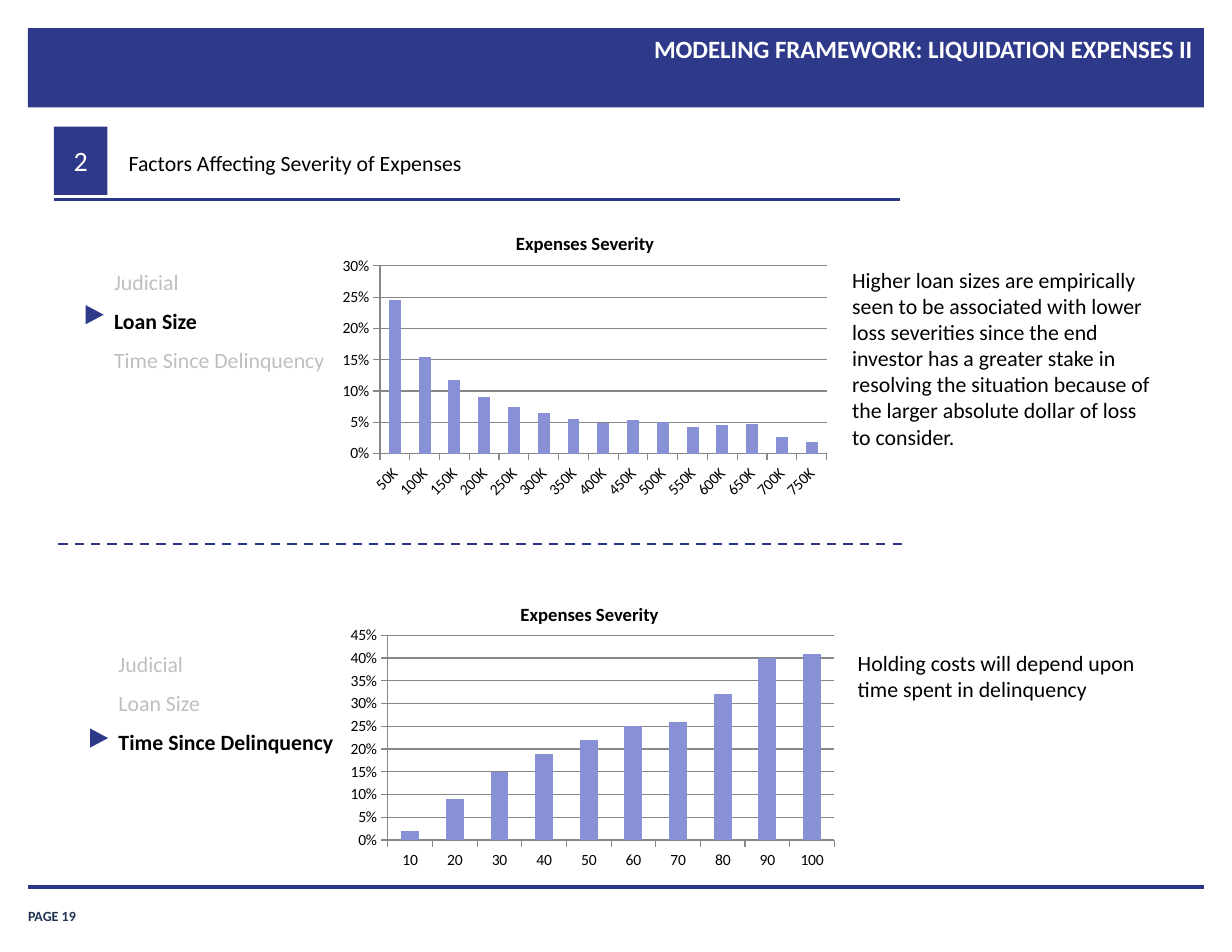
from dataclasses import dataclass

from lxml import etree
from pptx import Presentation
from pptx.chart.data import CategoryChartData
from pptx.dml.color import RGBColor
from pptx.enum.chart import XL_CHART_TYPE, XL_TICK_MARK
from pptx.enum.dml import MSO_LINE
from pptx.enum.shapes import MSO_CONNECTOR, MSO_SHAPE
from pptx.enum.text import MSO_ANCHOR, PP_ALIGN
from pptx.oxml.ns import qn
from pptx.util import Inches, Pt

COLUMNS = XL_CHART_TYPE.COLUMN_CLUSTERED
TICK_OUT = XL_TICK_MARK.OUTSIDE
DASH = MSO_LINE.DASH
STRAIGHT = MSO_CONNECTOR.STRAIGHT
RECTANGLE, TRIANGLE = MSO_SHAPE.RECTANGLE, MSO_SHAPE.ISOSCELES_TRIANGLE
TOP, MIDDLE, BOTTOM = MSO_ANCHOR.TOP, MSO_ANCHOR.MIDDLE, MSO_ANCHOR.BOTTOM
LEFT, CENTER, RIGHT = PP_ALIGN.LEFT, PP_ALIGN.CENTER, PP_ALIGN.RIGHT


@dataclass(frozen=True)
class Theme:
    font: str = "Calibri"
    navy: RGBColor = RGBColor(0x2E, 0x39, 0x8A)
    rule: RGBColor = RGBColor(0x2B, 0x36, 0x89)
    footer: RGBColor = RGBColor(0x20, 0x33, 0x53)
    bar: RGBColor = RGBColor(0x88, 0x91, 0xD5)
    grid: RGBColor = RGBColor(0x87, 0x87, 0x87)
    muted: RGBColor = RGBColor(0xBF, 0xBF, 0xBF)
    black: RGBColor = RGBColor(0, 0, 0)
    white: RGBColor = RGBColor(255, 255, 255)
    footer_size: int = 9
    axis_size: int = 10
    caption_size: int = 12
    body_size: int = 14
    title_size: int = 16
    number_size: int = 18


theme = Theme()
prs = Presentation()
prs.slide_width, prs.slide_height = Inches(11), Inches(8.5)
slide = prs.slides.add_slide(prs.slide_layouts[6])
shapes = slide.shapes


def write(box, lines, size, align=LEFT, anchor=TOP, spacing=None, inset=(0.1, 0.05)):
    """Fill a box with one paragraph for each (text, colour, bold) line."""
    frame = box.text_frame
    frame.word_wrap = True
    frame.vertical_anchor = anchor
    frame.margin_left = frame.margin_right = Inches(inset[0])
    frame.margin_top = frame.margin_bottom = Inches(inset[1])
    for index, (text, color, bold) in enumerate(lines):
        paragraph = frame.add_paragraph() if index else frame.paragraphs[0]
        paragraph.alignment = align
        paragraph.line_spacing = spacing
        run = paragraph.add_run()
        run.text = text
        run.font.name, run.font.size, run.font.bold = theme.font, Pt(size), bold
        run.font.color.rgb = color


def add_navy(kind, left, top, width, height):
    shape = shapes.add_shape(kind, Inches(left), Inches(top), Inches(width), Inches(height))
    shape.shadow.inherit = False
    shape.fill.solid()
    shape.fill.fore_color.rgb = theme.navy
    shape.line.fill.background()
    return shape


# Header, section heading and footer
add_navy(RECTANGLE, 0.25, 0.25, 10.5, 0.71)
title = shapes.add_textbox(Inches(3.32), Inches(0.24), Inches(7.44), Inches(0.74))
write(title, [("MODELING FRAMEWORK: LIQUIDATION EXPENSES II", theme.white, True)],
      theme.title_size, align=RIGHT, inset=(0.11, 0.06))
section_number = add_navy(RECTANGLE, 0.48, 1.13, 0.48, 0.61)
write(section_number, [("2", theme.white, False)], theme.number_size, CENTER, MIDDLE)
heading = shapes.add_textbox(Inches(1.05), Inches(1.29), Inches(4.45), Inches(0.34))
write(heading, [("Factors Affecting Severity of Expenses", theme.black, False)], theme.body_size)
page = shapes.add_textbox(Inches(0.25), Inches(8.02), Inches(0.91), Inches(0.23))
write(page, [("PAGE 19", theme.footer, True)], theme.footer_size, anchor=BOTTOM, inset=(0, 0))

for start, end, y, weight, dash in (
    (0.48, 8.04, 1.78, 1.5, None),
    (0.52, 8.09, 4.86, 1.5, DASH),
    (0.25, 10.75, 7.92, 2, None),
):
    rule = shapes.add_connector(STRAIGHT, Inches(start), Inches(y), Inches(end), Inches(y))
    rule.line.color.rgb = theme.rule
    rule.line.width = Pt(weight)
    rule.line.dash_style = dash
    etree.SubElement(rule.element.spPr, qn("a:effectLst"))

# One panel for each factor: list, marker, chart, caption and comment
factors = ("Judicial", "Loan Size", "Time Since Delinquency")
panels = (
    {
        "active": "Loan Size", "list": (0.92, 2.23), "marker": (0.76, 2.73),
        "chart": (2.97, 2.25), "caption": (3.96, 2.02), "comment": (7.51, 2.33, 1.75),
        "text": "Higher loan sizes are empirically seen to be associated with lower loss "
                "severities since the end investor has a greater stake in resolving the "
                "situation because of the larger absolute dollar of loss to consider.",
        "categories": [f"{size}K" for size in range(50, 751, 50)],
        "values": (0.245, 0.154, 0.117, 0.091, 0.075, 0.065, 0.056, 0.049,
                   0.054, 0.051, 0.043, 0.046, 0.048, 0.026, 0.018),
        "maximum": 0.3, "label_angle": -45,
    },
    {
        "active": "Time Since Delinquency", "list": (0.96, 5.64), "marker": (0.8, 6.51),
        "chart": (3.04, 5.55), "caption": (4, 5.33), "comment": (7.56, 5.75, 0.57),
        "text": "Holding costs will depend upon time spent in delinquency",
        "categories": [str(days) for days in range(10, 101, 10)],
        "values": (0.02, 0.09, 0.15, 0.19, 0.22, 0.25, 0.26, 0.32, 0.4, 0.41),
        "maximum": 0.45, "label_angle": 0,
    },
)

for panel in panels:
    left, top = map(Inches, panel["list"])
    factor_list = shapes.add_textbox(left, top, Inches(2.56), Inches(1.16))
    lines = [(name, theme.black, True) if name == panel["active"] else (name, theme.muted, False)
             for name in factors]
    write(factor_list, lines, theme.body_size, spacing=1.5)
    marker = add_navy(TRIANGLE, *panel["marker"], 0.17, 0.16)
    marker.rotation = 90

    left, top, height = map(Inches, panel["comment"])
    comment = shapes.add_textbox(left, top, Inches(2.88), height)
    write(comment, [(panel["text"], theme.black, False)], theme.body_size)
    left, top = map(Inches, panel["caption"])
    caption = shapes.add_textbox(left, top, Inches(2.53), Inches(0.3))
    write(caption, [("Expenses Severity", theme.black, True)], theme.caption_size, CENTER)

    data = CategoryChartData(number_format="0%")
    data.categories = panel["categories"]
    data.add_series("Series 1", panel["values"])
    left, top = map(Inches, panel["chart"])
    chart = shapes.add_chart(COLUMNS, left, top, Inches(4.5), Inches(2.25), data).chart
    chart.has_title = chart.has_legend = False
    chart.font.name, chart.font.size = theme.font, Pt(theme.axis_size)
    chart.font.color.rgb = theme.black

    plot = chart.plots[0]
    plot.gap_width = 150
    plot.vary_by_categories = False
    bars = plot.series[0].format.fill
    bars.solid()
    bars.fore_color.rgb = theme.bar

    value_axis, category_axis = chart.value_axis, chart.category_axis
    value_axis.minimum_scale, value_axis.maximum_scale = 0, panel["maximum"]
    value_axis.major_unit = 0.05
    value_axis.has_major_gridlines = True
    value_axis.tick_labels.number_format = "0%"
    value_axis.tick_labels.number_format_is_linked = False
    for axis in (value_axis, category_axis):
        axis.major_tick_mark = TICK_OUT
    for line in (value_axis.format.line, category_axis.format.line,
                 value_axis.major_gridlines.format.line):
        line.color.rgb = theme.grid
        line.width = Pt(0.75)
    if panel["label_angle"]:
        label_body = category_axis.tick_labels.font and category_axis._element.txPr.bodyPr
        label_body.set("rot", str(panel["label_angle"] * 60000))
        category_axis.tick_labels.font.size = Pt(theme.axis_size)

prs.save("out.pptx")
